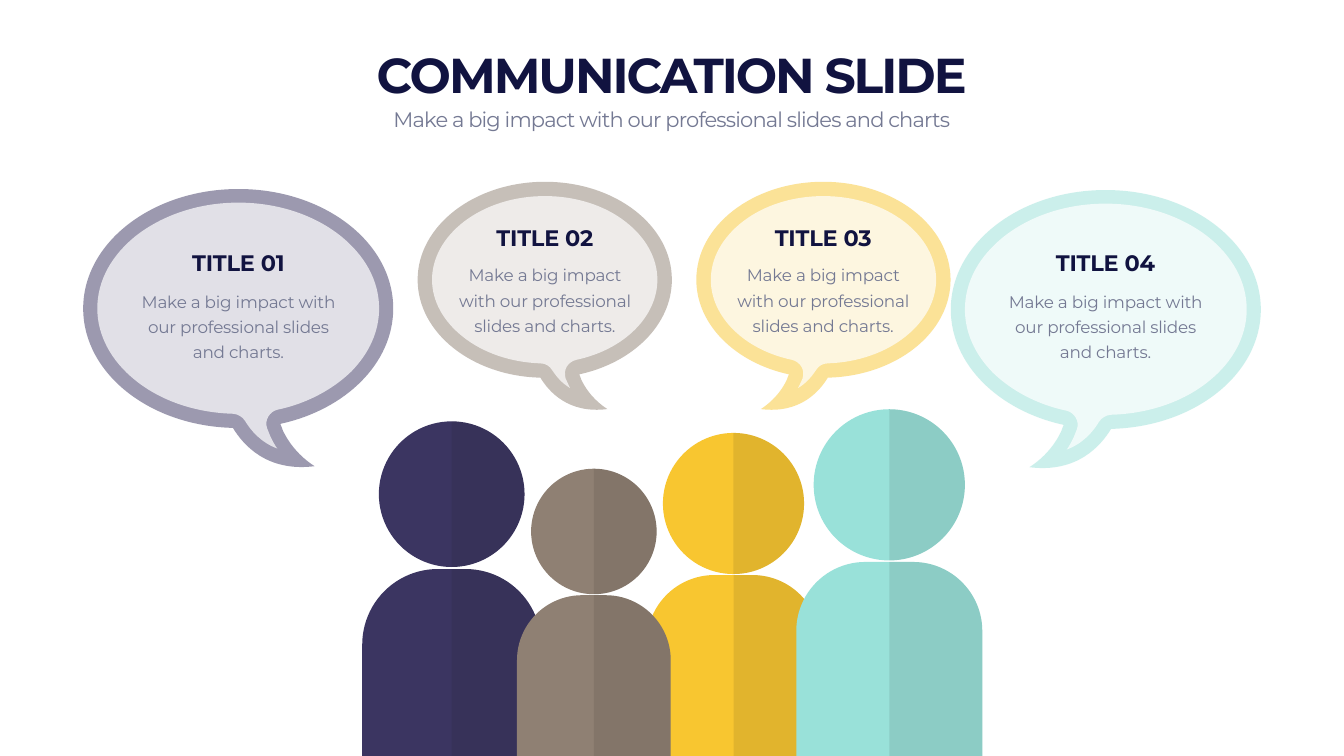
from collections import namedtuple

from lxml import etree
from pptx import Presentation, util as u
from pptx.dml.color import RGBColor
from pptx.enum import shapes, text
from pptx.oxml.ns import qn

COLORS = {
    "navy": "3B3561", "brown": "8F8073", "yellow": "F8C630", "teal": "99E1D9",
    "white": "FFFFFF", "shade": "1A1A1A", "heading": "111340", "body": "747993",
}
FONT = "Montserrat"
BLURB = "Make a big impact with our professional slides and charts"
PAGE_WIDTH, PAGE_HEIGHT = 26.66, 15
ROUND = 0.55  # control arm of a quarter circle, as a share of its radius

# Outlines are Bézier chains in inches from the bubble's centre, tail to the
# right: a start point, then two control points and an end point per curve.
RIM = [
    (3.07, 0),
    (3.07, -1.31), (1.7, -2.37), (0, -2.37),
    (-1.7, -2.37), (-3.08, -1.31), (-3.08, 0),
    (-3.08, 1.29), (-1.76, 2.33), (-0.11, 2.37),
    (0.09, 2.7), (0.56, 3.25), (1.51, 3.13),
    (1.37, 3.04), (1.07, 2.82), (0.88, 2.42),
    (0.86, 2.37), (0.85, 2.33), (0.83, 2.29),
    (2.12, 2.01), (3.07, 1.09), (3.07, 0),
]
LARGE_INSIDE = [
    (0.77, 2.78),
    (0.45, 2.66), (0.25, 2.43), (0.13, 2.23),
    (0.08, 2.15), (-0.01, 2.1), (-0.1, 2.09),
    (-0.84, 2.07), (-1.53, 1.84), (-2.04, 1.43),
    (-2.53, 1.04), (-2.8, 0.53), (-2.8, 0),
    (-2.8, -0.55), (-2.52, -1.06), (-2.01, -1.46),
    (-1.47, -1.87), (-0.76, -2.1), (0, -2.1),
    (0.76, -2.1), (1.47, -1.87), (2, -1.46),
    (2.51, -1.06), (2.79, -0.55), (2.79, 0),
    (2.79, 0.45), (2.6, 0.88), (2.24, 1.25),
    (1.87, 1.61), (1.35, 1.89), (0.77, 2.01),
    (0.69, 2.03), (0.63, 2.08), (0.59, 2.15),
    (0.55, 2.22), (0.54, 2.3), (0.57, 2.38),
    (0.59, 2.43), (0.61, 2.48), (0.63, 2.53),
    (0.67, 2.62), (0.72, 2.71), (0.77, 2.78),
]
SMALL_INSIDE = [
    (0.5, 2.15),
    (0.33, 2.05), (0.22, 1.91), (0.14, 1.79),
    (0.09, 1.71), (0.01, 1.66), (-0.09, 1.66),
    (-0.68, 1.64), (-1.23, 1.45), (-1.63, 1.13),
    (-2.02, 0.82), (-2.24, 0.42), (-2.24, 0),
    (-2.24, -0.43), (-2.01, -0.84), (-1.61, -1.15),
    (-1.18, -1.48), (-0.61, -1.66), (0, -1.66),
    (0.6, -1.66), (1.18, -1.48), (1.6, -1.15),
    (2, -0.84), (2.23, -0.43), (2.23, 0),
    (2.23, 0.73), (1.57, 1.39), (0.62, 1.59),
    (0.54, 1.61), (0.47, 1.66), (0.43, 1.73),
    (0.39, 1.8), (0.39, 1.88), (0.41, 1.96),
    (0.43, 2), (0.45, 2.05), (0.47, 2.09),
    (0.48, 2.11), (0.49, 2.13), (0.5, 2.15),
]
QUARTER = [(0, -1), (ROUND, -1), (1, -ROUND), (1, 0)]
HALF = QUARTER + [(1, ROUND), (ROUND, 1), (0, 1)]

Size = namedtuple("Size", "scale inside text_width title_top blurb_top")
LARGE = Size(1, LARGE_INSIDE, 4.47, 4.89, 5.63)
SMALL = Size(0.82, SMALL_INSIDE, 3.8, 4.39, 5.11)

# title, colour, size, centre x, centre y, tail direction (1 right, -1 left)
BUBBLES = [
    ("TITLE 01", "navy", LARGE, 4.73, 6.12, 1),
    ("TITLE 02", "brown", SMALL, 10.81, 5.55, 1),
    ("TITLE 03", "yellow", SMALL, 16.33, 5.55, -1),
    ("TITLE 04", "teal", LARGE, 21.93, 6.14, -1),
]
# colour, centre x, head top, head diameter, body top, body width, shoulder radius
PEOPLE = [
    ("yellow", 14.55, 8.59, 2.8, 11.41, 3.44, 1.34),
    ("navy", 8.96, 8.36, 2.89, 11.29, 3.55, 1.5),
    ("brown", 11.78, 9.3, 2.49, 11.81, 3.05, 1.29),
    ("teal", 17.64, 8.12, 3, 11.15, 3.69, 1.37),
]


def inch(value):
    return u.Cm(value * 2.54)


def paint(shape, color, opacity=100):
    shape.shadow.inherit = False
    shape.line.fill.background()
    shape.fill.solid()
    shape.fill.fore_color.rgb = RGBColor.from_string(COLORS[color])
    if opacity < 100:
        tint = shape.fill._xPr.find(qn("a:solidFill"))[0]
        etree.SubElement(tint, qn("a:alpha"), val=str(opacity * 1000))


def place(chain, x, y, scale_x, scale_y):
    return [(x + scale_x * dx, y + scale_y * dy) for dx, dy in chain]


def add_outline(parent, chain, color, opacity, corners=()):
    """Draw a Bézier chain, closed through straight-sided corners."""
    points = [(inch(x), inch(y)) for x, y in [*chain, *corners]]
    builder = parent.shapes.build_freeform(*points[0])
    builder.add_line_segments(points[1:], close=True)
    shape = builder.convert_to_shape()
    lines = list(shape._element.iter(qn("a:lnTo")))[:len(chain) - 1]
    for first in range(0, len(lines), 3):
        curve = etree.Element(qn("a:cubicBezTo"))
        lines[first].addprevious(curve)
        for line in lines[first:first + 3]:
            curve.append(line[0])
            line.getparent().remove(line)
    paint(shape, color, opacity)


def add_text(page, words, left, top, width, height, size, color,
             bold=False, spacing=-0.3, line=None):
    box = page.shapes.add_textbox(inch(left), inch(top), inch(width), inch(height))
    frame = box.text_frame
    frame.text = words
    frame.word_wrap = True
    frame.auto_size = text.MSO_AUTO_SIZE.SHAPE_TO_FIT_TEXT
    frame.vertical_anchor = text.MSO_ANCHOR.BOTTOM if bold else text.MSO_ANCHOR.TOP
    para = frame.paragraphs[0]
    para.alignment = text.PP_ALIGN.CENTER
    if line:
        para.line_spacing = u.Pt(line)
    span = para.runs[0]
    span.font.name = FONT
    span.font.size = u.Pt(size)
    span.font.bold = bold
    span.font.color.rgb = RGBColor.from_string(COLORS[color])
    span.font._element.set("spc", str(round(spacing * 100)))


def add_bubble(page, title, color, size, x, y, tail):
    add_outline(page, place(RIM, x, y, tail * size.scale, size.scale), color, 50)
    add_outline(page, place(size.inside, x, y, tail, 1), "white", 70)
    left = x - size.text_width / 2
    add_text(page, title, left, size.title_top, size.text_width, 0.64, 32, "heading", bold=True)
    add_text(page, BLURB + ".", left, size.blurb_top, size.text_width, 1.57, 24, "body", line=36)


def add_person(page, color, x, head_top, head, body_top, width, radius):
    """A head and shoulders whose right half is shaded."""
    person = page.shapes.add_group_shape()
    height = PAGE_HEIGHT - body_top
    right = x + width / 2
    paint(person.shapes.add_shape(shapes.MSO_SHAPE.OVAL, inch(x - head / 2), inch(head_top),
                                  inch(head), inch(head)), color)
    body = person.shapes.add_shape(shapes.MSO_SHAPE.ROUND_2_SAME_RECTANGLE,
                                   inch(x - width / 2), inch(body_top),
                                   inch(width), inch(height))
    body.adjustments[0] = radius / min(width, height)
    paint(body, color)
    add_outline(person, place(HALF, x, head_top + head / 2, head / 2, head / 2), "shade", 10)
    shoulder = place(QUARTER, right - radius, body_top + radius, radius, radius)
    corners = [(right, PAGE_HEIGHT), (x, PAGE_HEIGHT), (x, body_top)]
    add_outline(person, shoulder, "shade", 10, corners)


def main():
    deck = Presentation()
    deck.slide_width, deck.slide_height = inch(PAGE_WIDTH), inch(PAGE_HEIGHT)
    page = deck.slides.add_slide(deck.slide_layouts[6])
    for bubble in BUBBLES:
        add_bubble(page, *bubble)
    for person in PEOPLE:
        add_person(page, *person)
    add_text(page, "COMMUNICATION SLIDE", 1.66, 0.82, 23.33, 1.28, 70, "heading",
             bold=True, spacing=-2.9)
    add_text(page, BLURB, 1.66, 2.06, 23.33, 0.61, 30, "body", spacing=-1.2)
    deck.save("out.pptx")


if __name__ == "__main__":
    main()
